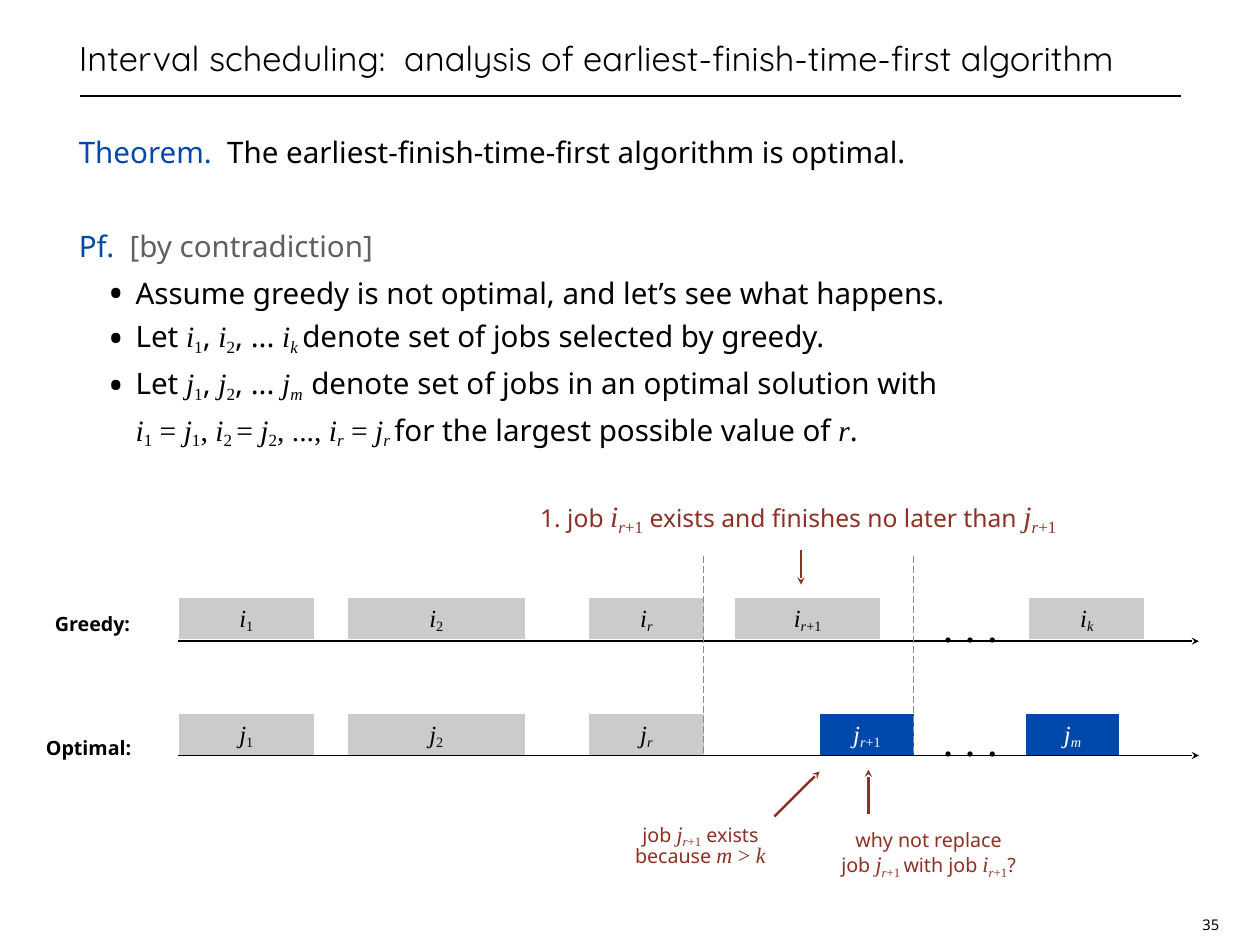
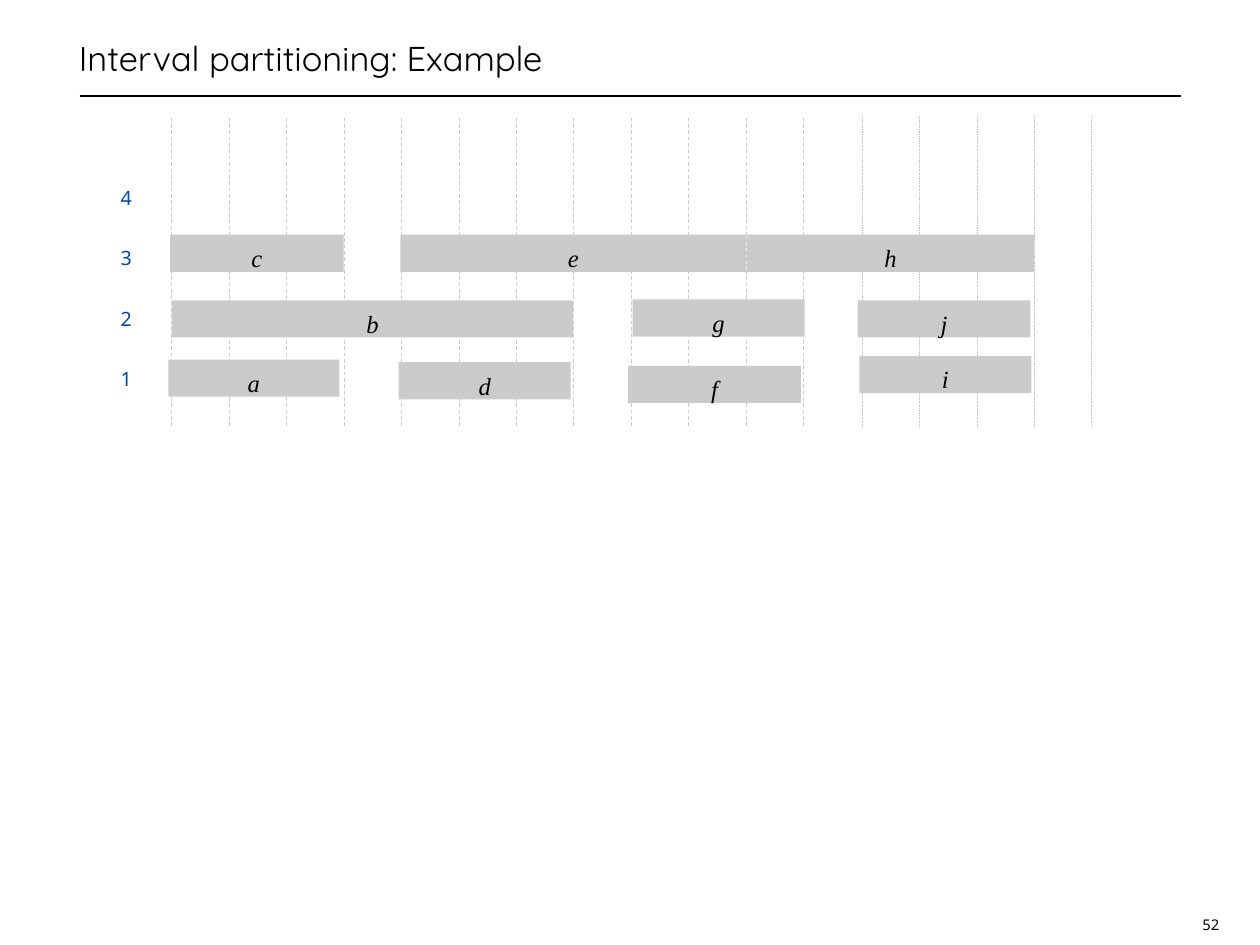
from lxml.etree import SubElement
from pptx import Presentation
from pptx.dml.color import RGBColor
from pptx.enum.dml import MSO_LINE_DASH_STYLE as Dash
from pptx.enum.shapes import MSO_CONNECTOR as Connector, MSO_SHAPE as Preset
from pptx.enum.text import MSO_ANCHOR as Anchor, MSO_AUTO_SIZE as AutoSize, PP_ALIGN as Align
from pptx.oxml.ns import qn
from pptx.util import Inches, Pt

COLORS = {
    "black": "000000",
    "white": "FFFFFF",
    "blue": "0048AA",
    "red": "8D3124",
    "note": "606060",
    "bar": "CBCBCB",
    "marker": "8A8A8A",
    "dots": "BABABA",
}
BODY_FONT, TITLE_FONT, MATH_FONT = "Noto Sans", "Quicksand", "Times New Roman"
MATH = {"math": True}
VARIABLE = {"math": True, "italic": True}
BREAK = "\n"


def rgb(name):
    return RGBColor.from_string(COLORS[name])


def variable(letter, index=""):
    runs = [(letter, VARIABLE)]
    stem, plus, number = index.partition("+")
    for part in (stem, plus + number):
        if part:
            style = {"math": True, "italic": part.strip().isalpha(), "baseline": -20}
            runs.append((part, style))
    return runs


def write(frame, runs, size=24, math_size=None, color="black", font=BODY_FONT, bold=None,
          align=Align.LEFT, spacing=None, before=0, bullet=None):
    first = frame.paragraphs[0]
    paragraph = frame.add_paragraph() if first.runs else first
    paragraph.alignment = align
    paragraph.space_before = Pt(before)
    if spacing:
        paragraph.line_spacing = spacing
    if bullet:
        properties = paragraph._p.get_or_add_pPr()
        properties.set("marL", str(Inches(0.64)))
        properties.set("indent", str(Inches(-0.31)))
        SubElement(properties, qn("a:buSzPct"), val="140000")
        SubElement(properties, qn("a:buFont"), typeface=BODY_FONT)
        SubElement(properties, qn("a:buChar"), char=bullet)
    for item in [runs] if isinstance(runs, str) else runs:
        if item == BREAK:
            paragraph.add_line_break()
            continue
        text, style = (item, {}) if isinstance(item, str) else item
        run = paragraph.add_run()
        run.text = text
        math = style.get("math")
        run.font.name = MATH_FONT if math else font
        run.font.size = Pt(math_size or size) if math else Pt(size)
        run.font.color.rgb = rgb(style.get("color", color))
        run.font.bold = bold
        run.font.italic = style.get("italic", False)
        if "baseline" in style:
            run._r.get_or_add_rPr().set("baseline", str(style["baseline"] * 1000))


def set_frame(shape, anchor=Anchor.TOP, margin=0, wrap=True):
    frame = shape.text_frame
    frame.margin_left = frame.margin_right = Inches(margin)
    frame.margin_top = frame.margin_bottom = Inches(margin)
    frame.vertical_anchor = anchor
    frame.word_wrap = wrap
    frame.auto_size = AutoSize.NONE if wrap else AutoSize.SHAPE_TO_FIT_TEXT
    return frame


def add_text(slide, box, *paragraphs, margin=0, wrap=True, **style):
    shape = slide.shapes.add_textbox(*map(Inches, box))
    frame = set_frame(shape, margin=margin, wrap=wrap)
    for runs in paragraphs:
        write(frame, runs, **style)
    return frame


def add_line(slide, start, end, color="black", width=1.5, dash=None, arrow=False):
    line = slide.shapes.add_connector(Connector.STRAIGHT, *map(Inches, (*start, *end)))
    line.line.color.rgb = rgb(color)
    line.line.width = Pt(width)
    if dash:
        line.line.dash_style = dash
    if arrow:
        SubElement(line.line._get_or_add_ln(), qn("a:tailEnd"), type="stealth")
    SubElement(line._element.spPr, qn("a:effectLst"))


def add_job(slide, box, label, fill="bar", color="black", outline=None, spacing=None):
    shape = slide.shapes.add_shape(Preset.RECTANGLE, *map(Inches, box))
    shape.shadow.inherit = False
    shape.fill.solid()
    shape.fill.fore_color.rgb = rgb(fill)
    if outline:
        shape.line.color.rgb = rgb(outline)
        shape.line.width = Pt(0.75)
    else:
        shape.line.fill.background()
    write(set_frame(shape, Anchor.MIDDLE), label, size=20, color=color,
          align=Align.CENTER, spacing=spacing)


def start_slide(presentation, title, number):
    slide = presentation.slides.add_slide(presentation.slide_layouts[5])
    add_line(slide, (0.9, 1.08), (13.33, 1.08))
    shape = slide.shapes.title
    shape.left, shape.top, shape.width, shape.height = map(Inches, (0.89, 0, 12.44, 0.89))
    write(set_frame(shape, Anchor.BOTTOM), title, size=28, font=TITLE_FONT, spacing=Pt(38))
    add_text(slide, (13.51, 10.3, 0.31, 0.24), number, margin=0.04, wrap=False,
             size=12, align=Align.CENTER, spacing=Pt(14))
    return slide


def add_proof(slide):
    leading = Pt(38)
    theorem = [("Theorem.  ", {"color": "blue"}),
               "The earliest-finish-time-first algorithm is optimal."]
    frame = add_text(slide, (0.89, 1.39, 12.44, 4), theorem, spacing=leading)
    write(frame, [("Pf.  ", {"color": "blue"}), ("[by contradiction]", {"color": "note"})],
          spacing=leading, before=38)
    steps = [
        "Assume greedy is not optimal, and let’s see what happens.",
        ["Let ", *variable("i", "1"), ", ", *variable("i", "2"), ", ... ",
         *variable("i", "k "), "denote set of jobs selected by greedy."],
        ["Let ", *variable("j", "1"), ", ", *variable("j", "2"), ", ... ",
         *variable("j", "m  "), "denote set of jobs in an optimal solution with", BREAK,
         *variable("i", "1"), (" = ", MATH), *variable("j", "1"), (", ", MATH),
         *variable("i", "2 "), ("= ", MATH), *variable("j", "2"), (", ..., ", MATH),
         *variable("i", "r"), (" = ", MATH), *variable("j", "r "),
         "for the largest possible value of ", *variable("r"), "."],
    ]
    for step in steps:
        write(frame, step, spacing=leading, bullet="•")


def add_schedule(slide, letter, top, name, name_box, extra_jobs, axis, dots_top):
    shared_jobs = [(2.01, 1.54, "1"), (3.92, 2.01, "2"), (6.64, 1.31, "r")]
    for left, width, index in shared_jobs:
        add_job(slide, (left, top, width, 0.47), variable(letter, index), outline="white")
    for left, width, index, fill, color in extra_jobs:
        add_job(slide, (left, top, width, 0.47), variable(letter, index), fill, color, "white")
    add_text(slide, name_box, name, wrap=False, size=16, bold=True,
             align=Align.CENTER, spacing=1.3)
    add_line(slide, (2.01, axis), (13.53, axis), arrow=True)
    add_text(slide, (10.63, dots_top, 0.64, 0.6), [(". . .", MATH)], wrap=False, size=36,
             align=Align.CENTER, spacing=1.3)


def add_callouts(slide):
    style = {"color": "red", "align": Align.CENTER}
    next_i, next_j = variable("i", "r+1"), variable("j", "r+1")
    add_text(slide, (5.75, 5.49, 6.52, 0.47),
             ["1. job ", *next_i, " exists and finishes no later than ", *next_j],
             size=20, math_size=24, spacing=1.3, before=10, **style)
    add_text(slide, (5.75, 9.3, 4.31, 0.62), ["job ", *next_j, " exists"],
             ["because ", *variable("m"), (" > ", MATH), *variable("k")],
             size=16, math_size=18, spacing=0.8, **style)
    add_text(slide, (8.8, 9.38, 3.36, 0.55), "why not replace",
             ["job ", *variable("j", "r+1 "), "with job ", *next_i, "?"],
             size=16, math_size=18, spacing=0.9, **style)
    arrows = [((9.04, 6.21), (9.04, 6.6)), ((8.74, 9.22), (9.25, 8.71)),
              ((9.8, 9.19), (9.8, 8.69))]
    for start, tip in arrows:
        add_line(slide, start, tip, "red", 2, arrow=True)


def build_analysis(presentation):
    slide = start_slide(
        presentation,
        "Interval scheduling:  analysis of earliest-finish-time-first algorithm", "35")
    add_proof(slide)
    add_schedule(slide, "i", 6.75, "Greedy:", (0.61, 6.83, 0.87, 0.25),
                 [(8.29, 1.65, "r+1", "bar", "black"), (11.61, 1.31, "k", "bar", "black")],
                 axis=7.24, dots_top=6.58)
    add_schedule(slide, "j", 8.06, "Optimal:", (0.51, 8.23, 0.98, 0.25),
                 [(9.25, 1.07, "r+1", "blue", "white"), (11.57, 1.07, "m", "blue", "white")],
                 axis=8.53, dots_top=7.86)
    for x in (7.94, 10.31):
        add_line(slide, (x, 6.28), (x, 8.53), "marker", 0.75, Dash.LONG_DASH)
    add_callouts(slide)


def build_partitioning(presentation):
    slide = start_slide(presentation, "Interval partitioning: Example", "52")
    step = (9.07 - 1.94) / 11
    grids = [(1.94, 12, 1.33, "bar", Dash.DASH), (9.73, 5, 1.31, "dots", Dash.ROUND_DOT)]
    for left, count, top, color, dash in grids:
        for column in range(count):
            x = left + column * step
            add_line(slide, (x, top), (x, top + 3.51), color, 0.75, dash)
    jobs = [
        ("a", 1.9, 4.06, 1.93), ("b", 1.94, 3.39, 4.53), ("c", 1.92, 2.65, 1.96),
        ("d", 4.5, 4.09, 1.94), ("e", 4.52, 2.65, 3.9), ("f", 7.09, 4.13, 1.95),
        ("g", 7.14, 3.38, 1.94), ("h", 8.43, 2.65, 3.24), ("i", 9.7, 4.02, 1.94),
        ("j", 9.68, 3.39, 1.95),
    ]
    for name, left, top, width in jobs:
        add_job(slide, (left, top, width, 0.42), variable(name), spacing=1.3)
    for room in range(1, 5):
        add_text(slide, (1.35, 4.74 - 0.68 * room, 0.15, 0.2), str(room), wrap=False,
                 size=16, color="blue", align=Align.CENTER, spacing=1.3)


def main():
    presentation = Presentation()
    presentation.slide_width, presentation.slide_height = Inches(14.22), Inches(10.67)
    build_analysis(presentation)
    build_partitioning(presentation)
    presentation.save("out.pptx")


if __name__ == "__main__":
    main()
